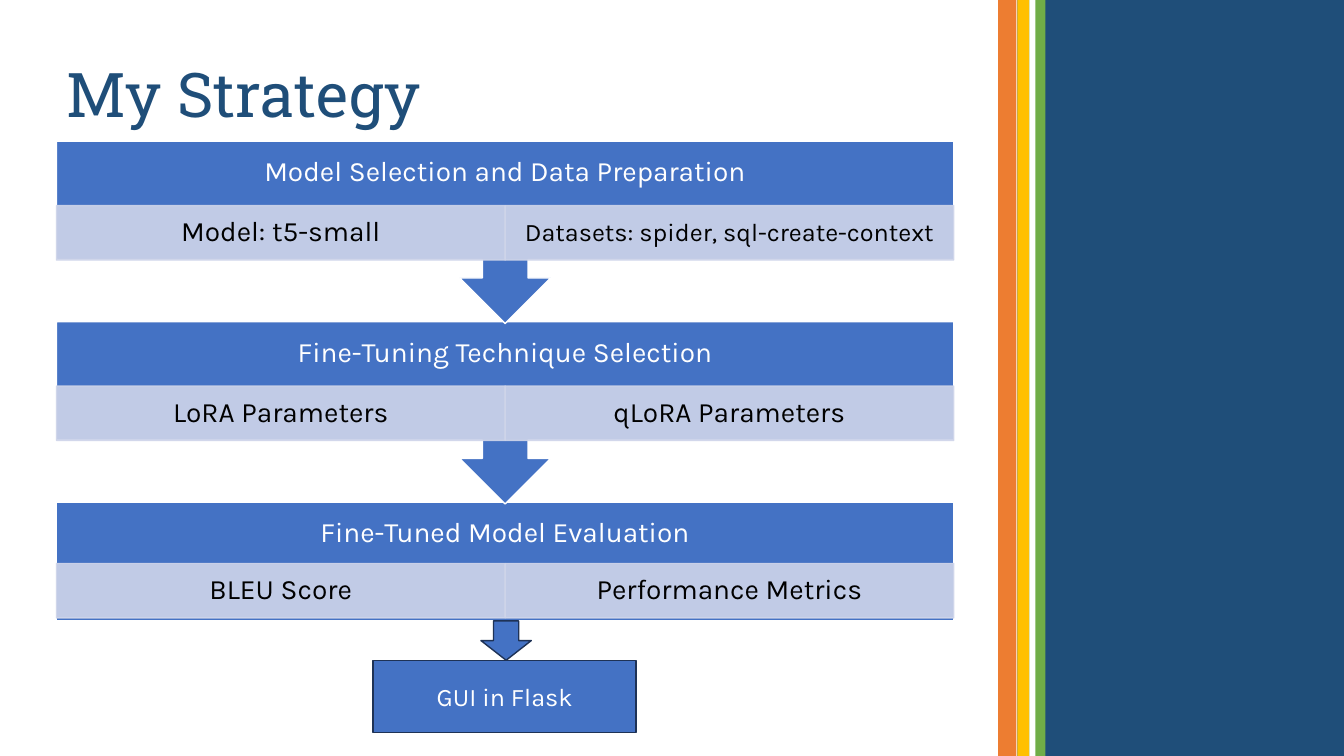
from dataclasses import dataclass

from lxml import etree
from pptx import Presentation, util as u
from pptx.dml.color import RGBColor
from pptx.enum import shapes, text
from pptx.oxml.ns import qn

PX = u.Inches(1) // 100


@dataclass(frozen=True)
class Theme:
    navy: str = "1F4E79"
    orange: str = "ED7D31"
    gold: str = "FFC000"
    green: str = "70AD47"
    white: str = "FFFFFF"
    black: str = "000000"
    blue: str = "4472C4"
    pale: str = "CFD5EA"
    outline: str = "1E3256"
    pale_opacity: int = 90
    heading_font: str = "Roboto Slab"
    body_font: str = "Karla"
    title_size: int = 44
    stage_size: int = 20
    small_size: int = 18


THEME = Theme()
SLIDE_SIZE = (1333, 750)
TITLE_BOX = (56, 10, 890, 174)
STAGES_BOX = (56, 140, 890, 476)
GUI_BOX = (370, 616, 261, 111)

STAGE_STEP = 179
CALLOUT_HEIGHT = 181
HEADER_HEIGHT = 63
CELL_HEIGHT = 54

STRIPES = [
    (1009, 325, THEME.navy),
    (990, 18, THEME.orange),
    (1009, 13, THEME.gold),
    (1021, 16, THEME.green),
    (1021, 6, THEME.white),
]

STAGES = [
    ("Model Selection and Data Preparation", [
        ("Model: t5-small", THEME.stage_size),
        ("Datasets: spider, sql-create-context", THEME.small_size),
    ]),
    ("Fine-Tuning Technique Selection", [
        ("LoRA Parameters", THEME.stage_size),
        ("qLoRA Parameters", THEME.stage_size),
    ]),
    ("Fine-Tuned Model Evaluation", [
        ("BLEU Score", THEME.stage_size),
        ("Performance Metrics", THEME.stage_size),
    ]),
]


def emu(box):
    return [length * PX for length in box]


def set_opacity(fill, percent):
    """Give the colour of a solid fill the stated opacity."""
    for color in fill.iter(qn("a:srgbClr")):
        etree.SubElement(color, qn("a:alpha"), val=str(percent * 1000))


def add_block(slide, kind, box, color, outline=None, opacity=None):
    block = slide.shapes.add_shape(kind, *emu(box))
    block.shadow.inherit = False
    block.fill.solid()
    block.fill.fore_color.rgb = RGBColor.from_string(color)
    if outline:
        block.line.color.rgb = RGBColor.from_string(outline)
        block.line.width = u.Pt(1)
    else:
        block.line.fill.background()
    if opacity:
        set_opacity(block.fill._xPr, opacity)
    return block


def write(holder, words, size, color, font=THEME.body_font,
          align=text.PP_ALIGN.CENTER, spacing=0.9, margins=(16, 3)):
    frame = holder.text_frame
    frame.word_wrap = True
    frame.vertical_anchor = text.MSO_ANCHOR.MIDDLE
    side, edge = emu(margins)
    frame.margin_left = frame.margin_right = side
    frame.margin_top = frame.margin_bottom = edge
    paragraph = frame.paragraphs[0]
    paragraph.text = words
    paragraph.alignment = align
    paragraph.line_spacing = spacing
    paragraph.font.name = font
    paragraph.font.size = u.Pt(size)
    paragraph.font.color.rgb = RGBColor.from_string(color)


def add_stripes(slide, height):
    for left, width, color in STRIPES:
        add_block(slide, shapes.MSO_SHAPE.RECTANGLE,
                  (left, 0, width, height), color)


def add_title(slide, box):
    title = slide.shapes.add_textbox(*emu(box))
    write(title, "My Strategy", THEME.title_size, THEME.navy,
          THEME.heading_font, text.PP_ALIGN.LEFT, margins=(10, 5))


def add_stage(slide, box, heading, details, is_last):
    """Draw a heading over its detail cells; all but the last point down."""
    left, top, width, height = box
    if is_last:
        add_block(slide, shapes.MSO_SHAPE.RECTANGLE, box,
                  THEME.blue, THEME.white)
    else:
        callout = add_block(slide, shapes.MSO_SHAPE.UP_ARROW_CALLOUT, box,
                            THEME.blue, THEME.white)
        callout.rotation = 180
    header = slide.shapes.add_textbox(*emu((left, top, width, HEADER_HEIGHT)))
    write(header, heading, THEME.stage_size, THEME.white)

    cell_top = top + (61 if is_last else 64)
    cell_width = width // len(details)
    for column, (detail, size) in enumerate(details):
        cell = add_block(
            slide, shapes.MSO_SHAPE.RECTANGLE,
            (left + column * cell_width, cell_top, cell_width, CELL_HEIGHT),
            THEME.pale, THEME.pale, THEME.pale_opacity)
        write(cell, detail, size, THEME.black)


def add_stages(slide, box):
    """Stack the stages from the bottom up, so each arrow tip lies on top."""
    left, top, width, height = box
    last = len(STAGES) - 1
    for row in range(last, -1, -1):
        offset = row * STAGE_STEP
        stage_height = height - offset if row == last else CALLOUT_HEIGHT
        add_stage(slide, (left, top + offset, width, stage_height),
                  *STAGES[row], row == last)


def add_gui_step(slide, box):
    left, top, width, height = box
    arrow_width, arrow_height = 50, 39
    arrow_left = left + (width - arrow_width) // 2 + 2
    add_block(slide, shapes.MSO_SHAPE.DOWN_ARROW,
              (arrow_left, top, arrow_width, arrow_height),
              THEME.blue, THEME.outline)
    gui = add_block(slide, shapes.MSO_SHAPE.RECTANGLE,
                    (left, top + arrow_height, width, height - arrow_height),
                    THEME.blue, THEME.outline)
    write(gui, "GUI in Flask", THEME.small_size, THEME.white,
          spacing=1.0, margins=(10, 5))


def main():
    deck = Presentation()
    deck.slide_width, deck.slide_height = emu(SLIDE_SIZE)
    slide = deck.slides.add_slide(deck.slide_layouts[6])
    add_stripes(slide, SLIDE_SIZE[1])
    add_title(slide, TITLE_BOX)
    add_stages(slide, STAGES_BOX)
    add_gui_step(slide, GUI_BOX)
    deck.save("out.pptx")


if __name__ == "__main__":
    main()
